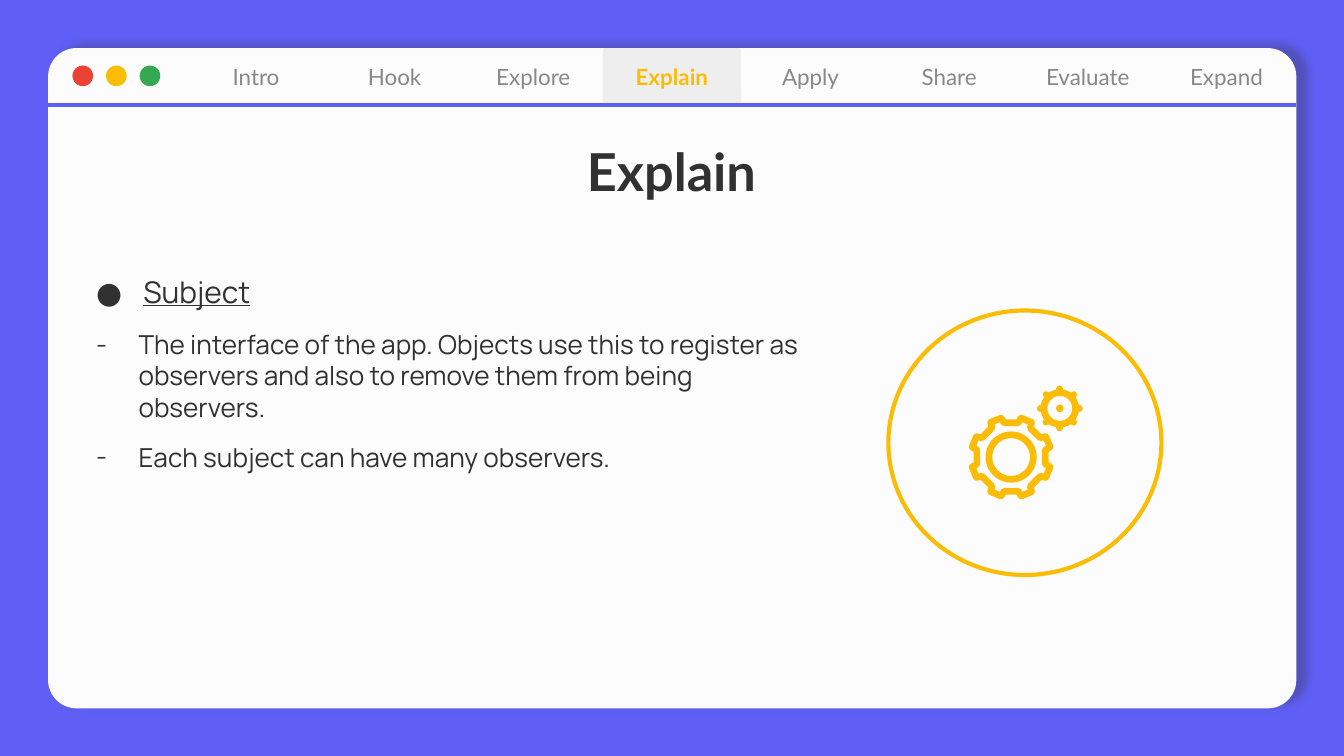
"""Build the Explain slide: a browser-style card with tabs, notes and a gear icon."""
from math import cos, radians, sin

from lxml import etree
from pptx import Presentation
from pptx.dml.color import RGBColor
from pptx.enum.shapes import MSO_CONNECTOR, MSO_SHAPE
from pptx.enum.text import MSO_ANCHOR, MSO_AUTO_SIZE, PP_ALIGN
from pptx.oxml import parse_xml
from pptx.oxml.ns import nsdecls, qn
from pptx.util import Cm, Pt

OVAL = MSO_SHAPE.OVAL
ROUNDED = MSO_SHAPE.ROUNDED_RECTANGLE
STRAIGHT = MSO_CONNECTOR.STRAIGHT
CENTER = PP_ALIGN.CENTER
MIDDLE = MSO_ANCHOR.MIDDLE
BOTTOM = MSO_ANCHOR.BOTTOM
NO_AUTOSIZE = MSO_AUTO_SIZE.NONE

COLORS = {
    "background": "5F5FF5",
    "card": "FCFCFC",
    "tab": "EEEEEE",
    "muted": "888888",
    "text": "313131",
    "red": "EA4335",
    "yellow": "FBBC05",
    "green": "34A853",
}
STROKE = 3.6


def paint(shape, fill=None, line=None, width=2.25):
    shape.shadow.inherit = False
    if fill:
        shape.fill.solid()
        shape.fill.fore_color.rgb = RGBColor.from_string(COLORS[fill])
    else:
        shape.fill.background()
    if line:
        shape.line.color.rgb = RGBColor.from_string(COLORS[line])
        shape.line.width = Pt(width)
        etree.SubElement(shape.line._get_or_add_ln(), qn("a:round"))
    else:
        shape.line.fill.background()


def add_run(paragraph, text, font, size, color, bold=False, underline=False):
    run = paragraph.add_run()
    run.text = text
    run.font.name = font
    run.font.size = Pt(size)
    run.font.bold = bold
    run.font.underline = underline
    run.font.color.rgb = RGBColor.from_string(COLORS[color])


presentation = Presentation()
presentation.slide_width = Cm(25.4)
presentation.slide_height = Cm(14.29)
slide = presentation.slides.add_slide(presentation.slide_layouts[5])
slide.background.fill.solid()
slide.background.fill.fore_color.rgb = RGBColor.from_string(COLORS["background"])
shapes = slide.shapes

card = shapes.add_shape(ROUNDED, Cm(0.91), Cm(0.91), Cm(23.59), Cm(12.48))
card.adjustments[0] = 0.043
paint(card, "card")
effects = card._element.spPr.find(qn("a:effectLst"))
effects.append(parse_xml(
    f'<a:outerShdw {nsdecls("a")} blurRad="{Pt(4.5)}" dist="{Pt(6)}" dir="20520000" '
    f'algn="bl" rotWithShape="0"><a:srgbClr val="{COLORS["text"]}">'
    '<a:alpha val="30000"/></a:srgbClr></a:outerShdw>'
))

tab_names = ["Intro", "Hook", "Explore", "Explain", "Apply", "Share", "Evaluate", "Expand"]
for index, name in enumerate(tab_names):
    active = name == "Explain"
    tab = shapes.add_shape(ROUNDED, Cm(3.53 + 2.62 * index), Cm(0.91), Cm(2.62), Cm(1.07))
    tab.adjustments[0] = 0.06
    paint(tab, "tab" if active else None)
    frame = tab.text_frame
    frame.margin_left = frame.margin_right = frame.margin_top = frame.margin_bottom = 0
    frame.vertical_anchor = MIDDLE
    frame.paragraphs[0].alignment = CENTER
    add_run(frame.paragraphs[0], name, "Lato", 12, "yellow" if active else "muted", active)

for index, color in enumerate(["red", "yellow", "green"]):
    dot = shapes.add_shape(OVAL, Cm(1.37 + 0.635 * index), Cm(1.24), Cm(0.39), Cm(0.39))
    paint(dot, color)

divider = shapes.add_connector(STRAIGHT, Cm(0.91), Cm(1.98), Cm(24.5), Cm(1.98))
divider.line.color.rgb = RGBColor.from_string(COLORS["background"])
divider.line.width = Pt(2.25)
etree.SubElement(divider._element.spPr, qn("a:effectLst"))

icon_circle = shapes.add_shape(OVAL, Cm(16.79), Cm(5.87), Cm(5.16), Cm(5))
paint(icon_circle, line="yellow")

gear_x, gear_y = 19.11, 8.64
cog_x, cog_y = 20.03, 7.72

tooth_profile = [(-11, 0.66), (-8, 0.76), (8, 0.76), (11, 0.66)]
outline = []
for tooth in range(8):
    for offset, radius in tooth_profile:
        angle = radians(22.5 + 45 * tooth + offset)
        outline.append((Cm(gear_x + radius * cos(angle)), Cm(gear_y + radius * sin(angle))))
builder = shapes.build_freeform(*outline[0])
builder.add_line_segments(outline[1:], close=True)
paint(builder.convert_to_shape(), line="yellow", width=STROKE)

for x, y, radius in [(gear_x, gear_y, 0.42), (cog_x, cog_y, 0.3)]:
    ring = shapes.add_shape(OVAL, Cm(x - radius), Cm(y - radius), Cm(2 * radius), Cm(2 * radius))
    paint(ring, line="yellow", width=STROKE)

hub = shapes.add_shape(OVAL, Cm(cog_x - 0.07), Cm(cog_y - 0.07), Cm(0.14), Cm(0.14))
paint(hub, "yellow")

for tooth in range(8):
    angle = radians(45 * tooth)
    inner, outer = [
        (Cm(cog_x + radius * cos(angle)), Cm(cog_y + radius * sin(angle)))
        for radius in (0.3, 0.37)
    ]
    cog_tooth = shapes.add_connector(STRAIGHT, *inner, *outer)
    cog_tooth.line.color.rgb = RGBColor.from_string(COLORS["yellow"])
    cog_tooth.line.width = Pt(STROKE)
    cog_tooth.line._get_or_add_ln().set("cap", "rnd")
    etree.SubElement(cog_tooth._element.spPr, qn("a:effectLst"))

notes_box = shapes.add_textbox(Cm(1.57), Cm(4.93), Cm(13.89), Cm(7.57))
title = shapes.title
title.left, title.top, title.width, title.height = Cm(1.88), Cm(2.87), Cm(21.62), Cm(1.19)
shapes._spTree.append(title._element)
for frame in (notes_box.text_frame, title.text_frame):
    frame.word_wrap = True
    frame.auto_size = NO_AUTOSIZE
    frame.margin_left = frame.margin_right = Cm(0.25)
    frame.margin_top = frame.margin_bottom = Cm(0.25)

notes = [
    ("Subject", 16, "●", 0.89, True),
    ("The interface of the app. Objects use this to register as observers and also "
     "to remove them from being observers.", 14, "-", 0.8, False),
    ("Each subject can have many observers.", 14, "-", 0.8, False),
]
frame = notes_box.text_frame
for index, (text, size, bullet, indent, underline) in enumerate(notes):
    paragraph = frame.add_paragraph() if index else frame.paragraphs[0]
    paragraph.space_before = Pt(10)
    properties = paragraph._p.get_or_add_pPr()
    properties.set("marL", str(Cm(indent)))
    properties.set("indent", str(-Cm(indent)))
    bullet_color = etree.SubElement(properties, qn("a:buClr"))
    etree.SubElement(bullet_color, qn("a:srgbClr"), val=COLORS["text"])
    etree.SubElement(properties, qn("a:buFont"), typeface="Manrope")
    etree.SubElement(properties, qn("a:buChar"), char=bullet)
    add_run(paragraph, text, "Manrope", size, "text", underline=underline)

title.text_frame.vertical_anchor = BOTTOM
heading = title.text_frame.paragraphs[0]
heading.alignment = CENTER
heading.line_spacing = 0.8
add_run(heading, "Explain", "Lato", 28, "text", True)

presentation.save("out.pptx")
